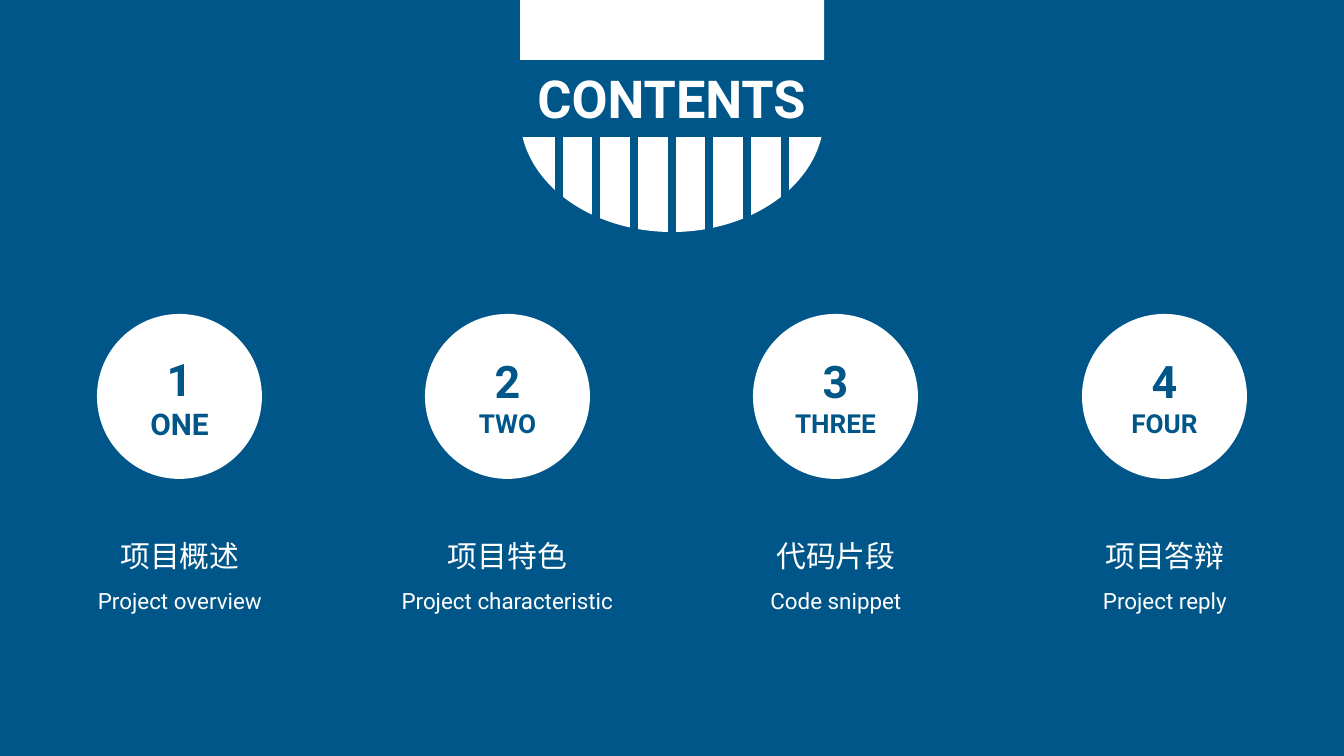
from lxml.etree import SubElement
from pptx import Presentation
from pptx.dml.color import RGBColor
from pptx.enum.shapes import MSO_CONNECTOR, MSO_SHAPE
from pptx.enum.text import MSO_ANCHOR, MSO_AUTO_SIZE, PP_ALIGN
from pptx.oxml.ns import qn
from pptx.util import Inches, Pt

SCALE = 914400 / 134.4
BLUE, WHITE = "005688", "FFFFFF"
LATIN, CJK = "Roboto", "Noto Sans CJK SC"
FRAME = {"word_wrap": True, "auto_size": MSO_AUTO_SIZE.SHAPE_TO_FIT_TEXT,
         **{f"margin_{side}": Inches(0.05)
            for side in ("left", "top", "right", "bottom")}}
CARDS = [
    ("1", "ONE", 16, 103, "项目概述", "Project overview", 298),
    ("2", "TWO", 14, 99, "项目特色", "Project characteristic", 349),
    ("3", "THREE", 14, 99, "代码片段", "Code snippet", 298),
    ("4", "FOUR", 14, 99, "项目答辩", "Project reply", 298),
]


def px(*values):
    """Turn pixel lengths into a list of EMU lengths."""
    return [round(v * SCALE) for v in values]


def color(hex_value):
    """Turn a hex string into a colour."""
    return RGBColor.from_string(hex_value)


def set_attrs(target, values):
    """Set each named attribute on the target."""
    for name, value in values.items():
        setattr(target, name, value)


def add_solid(shapes, kind, box, fill):
    """Add a flat preset shape without outline or shadow."""
    sp = shapes.add_shape(kind, *px(*box))
    sp.shadow.inherit = False
    sp.fill.solid()
    sp.fill.fore_color.rgb = color(fill)
    sp.line.fill.background()
    return sp


def write(sp, lines, hex_value, bold=False, spacing=None, anchor=MSO_ANCHOR.TOP):
    """Write centred lines given as (text, size, font)."""
    tf = sp.text_frame
    set_attrs(tf, {**FRAME, "vertical_anchor": anchor})
    for i, (text, size, font) in enumerate(lines):
        p = tf.add_paragraph() if i else tf.paragraphs[0]
        set_attrs(p, {"alignment": PP_ALIGN.CENTER, "line_spacing": spacing})
        r = p.add_run()
        r.text = text
        set_attrs(r.font, {"size": Pt(size), "bold": bold, "name": font})
        r.font.color.rgb = color(hex_value)
        SubElement(r.font._element, qn("a:ea"), typeface=font)


def add_stripe(s, x, top, bottom):
    """Add one vertical background-coloured stripe."""
    line = s.shapes.add_connector(MSO_CONNECTOR.STRAIGHT, *px(x, top, x, bottom))
    line.line.width = Pt(4.5)
    line.line.color.rgb = color(BLUE)
    SubElement(line._element.spPr, qn("a:effectLst"))


def add_header(s, left, top, width, height):
    """Build the striped shield with the title band across it."""
    center = left + width // 2
    shield = add_solid(
        s.shapes, MSO_SHAPE.FLOWCHART_DELAY,
        (center - height // 2, top + (height - width) // 2, height, width), WHITE)
    shield.rotation = 90
    title = add_solid(s.shapes, MSO_SHAPE.RECTANGLE,
                      (left - 34, top + 60, 371, 77), BLUE)
    write(title, [("CONTENTS", 28, LATIN)], WHITE, bold=True)
    for i in range(-3, 4):
        add_stripe(s, center + 113 * i // 3, top + 133, top + 254)


def add_card(s, left, top, size, card):
    """Build a numbered badge with its two-line caption below."""
    number, word, word_size, label_height, heading, subtitle, width = card
    badge = s.shapes.add_group_shape().shapes
    add_solid(badge, MSO_SHAPE.OVAL, (left, top, size, size), WHITE)
    label = badge.add_textbox(
        *px(left + 24, top + (size - label_height) // 2, size - 48, label_height))
    write(label, [(number, 24, LATIN), (word, word_size, LATIN)], BLUE,
          bold=True, anchor=MSO_ANCHOR.MIDDLE)
    caption = s.shapes.add_textbox(
        *px(left + (size - width + 1) // 2, top + 199, width, 101))
    write(caption, [(heading, 16, CJK), (subtitle, 12, LATIN)], WHITE, spacing=1.5)


def main():
    """Build and save the contents slide."""
    prs = Presentation()
    prs.slide_width, prs.slide_height = px(1344, 756)
    s = prs.slides.add_slide(prs.slide_layouts[6])
    s.background.fill.solid()
    s.background.fill.fore_color.rgb = color(BLUE)
    add_header(s, 520, 0, 304, 232)
    margin, size = 97, 165
    span = 1344 - 2 * margin - size
    for i, card in enumerate(CARDS):
        add_card(s, margin + span * i // (len(CARDS) - 1), 314, size, card)
    prs.save("out.pptx")


if __name__ == "__main__":
    main()
